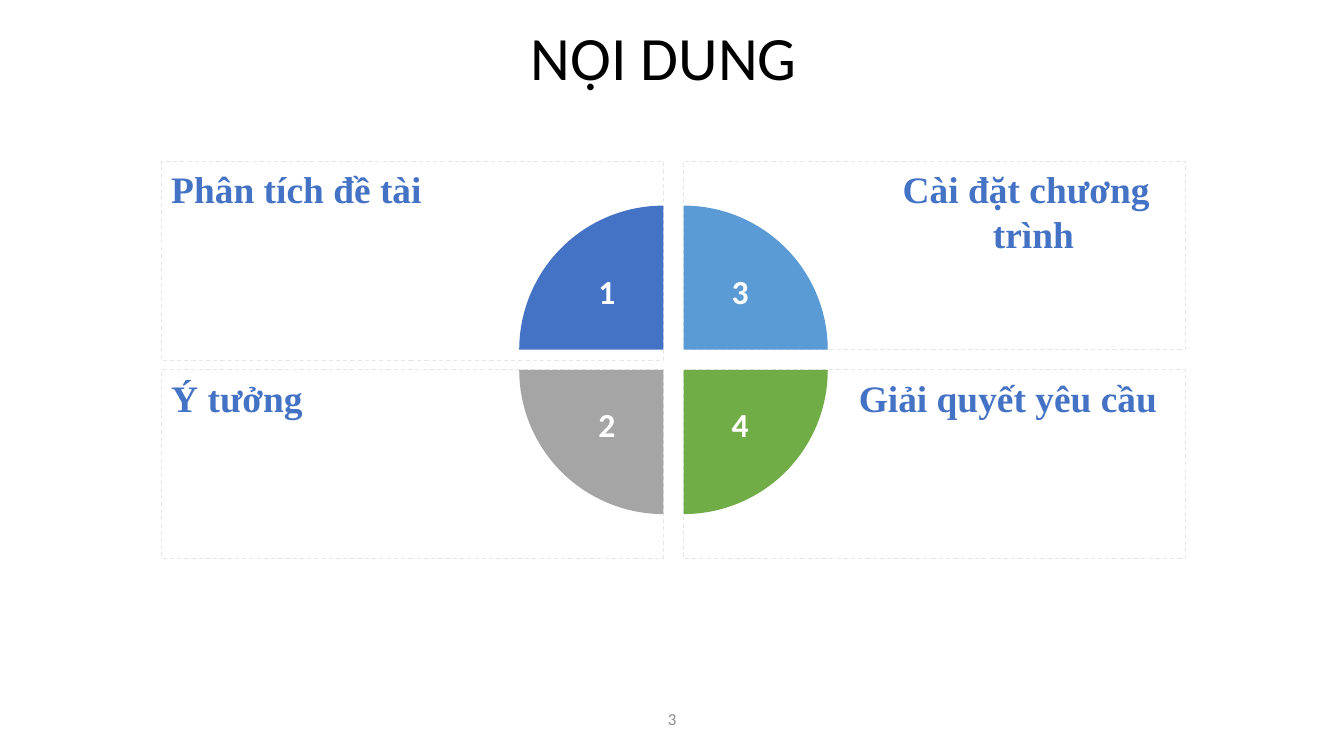
from dataclasses import dataclass

from pptx import Presentation
from pptx.dml.color import RGBColor
from pptx.enum.dml import MSO_LINE
from pptx.enum.shapes import MSO_SHAPE
from pptx.enum.text import MSO_ANCHOR, PP_ALIGN
from pptx.util import Inches, Pt

LEFT, CENTER = PP_ALIGN.LEFT, PP_ALIGN.CENTER
TOP, BOTTOM = MSO_ANCHOR.TOP, MSO_ANCHOR.BOTTOM
RECTANGLE, PIE = MSO_SHAPE.RECTANGLE, MSO_SHAPE.PIE
DASH = MSO_LINE.DASH


@dataclass(frozen=True)
class Theme:
    sans: str = "Calibri"
    serif: str = "Times New Roman"
    black: str = "000000"
    white: str = "FFFFFF"
    grey: str = "8C8C8C"
    border: str = "E7E6E6"
    blue: str = "4472C4"
    sky: str = "5B9BD5"
    green: str = "70AD47"
    silver: str = "A5A5A5"
    title_size: float = 44
    label_size: float = 26.7
    number_size: float = 24
    footer_size: float = 12


theme = Theme()

presentation = Presentation()
presentation.slide_width = Inches(13.33)
presentation.slide_height = Inches(7.5)
slide = presentation.slides.add_slide(presentation.slide_layouts[6])


def add_text(text, box, font_name, size, color, bold=False, align=CENTER,
             anchor=TOP, inset=None):
    """Add a wrapped one-paragraph text box and return its paragraph."""
    shape = slide.shapes.add_textbox(*[Inches(length) for length in box])
    frame = shape.text_frame
    frame.word_wrap = True
    frame.vertical_anchor = anchor
    if inset is not None:
        frame.margin_left = frame.margin_right = Inches(inset)
        frame.margin_top = frame.margin_bottom = Inches(inset)
    frame.text = text
    paragraph = frame.paragraphs[0]
    paragraph.alignment = align
    font = paragraph.runs[0].font
    font.name, font.size, font.bold = font_name, Pt(size), bold
    font.color.rgb = RGBColor.from_string(color)
    return paragraph


# Two by two grid: panels meet at a gap, pie corners sit at the inner corners
GRID_LEFT, GRID_TOP = 1.6, 1.6
PANEL_WIDTH, PANEL_HEIGHT, GAP = 4.98, 1.87, 0.2
PIE_SIZE = 2.86
NUMBER_OFFSET, NUMBER_WIDTH, NUMBER_HEIGHT = 0.56, 0.6, 0.54
LABEL_HEIGHT = 0.55

# number, label, column, row, colour, rotation, extra height, label width, align
quadrants = [
    ("1", "Phân tích đề tài", 0, 0, theme.blue, 0, 0.11, 4.98, LEFT),
    ("3", "Cài đặt chương trình", 1, 0, theme.sky, 90, 0, 3.44, CENTER),
    ("4", "Giải quyết yêu cầu", 1, 1, theme.green, 180, 0, 3.34, LEFT),
    ("2", "Ý tưởng", 0, 1, theme.silver, 270, 0, 4.98, LEFT),
]

for (number, label, column, row, color, rotation, extra_height, label_width,
     align) in quadrants:
    panel_left = GRID_LEFT + column * (PANEL_WIDTH + GAP)
    panel_top = GRID_TOP + row * (PANEL_HEIGHT + GAP)
    panel_right = panel_left + PANEL_WIDTH

    panel = slide.shapes.add_shape(
        RECTANGLE, Inches(panel_left), Inches(panel_top),
        Inches(PANEL_WIDTH), Inches(PANEL_HEIGHT + extra_height))
    panel.shadow.inherit = False
    panel.fill.background()
    panel.line.color.rgb = RGBColor.from_string(theme.border)
    panel.line.width = Pt(0.75)
    panel.line.dash_style = DASH

    corner_x = panel_left if column else panel_right
    corner_y = panel_top if row else panel_top + PANEL_HEIGHT
    quarter = slide.shapes.add_shape(
        PIE, Inches(corner_x - PIE_SIZE / 2), Inches(corner_y - PIE_SIZE / 2),
        Inches(PIE_SIZE), Inches(PIE_SIZE))
    quarter.adjustments[0], quarter.adjustments[1] = 108, 162
    quarter.rotation = rotation
    quarter.shadow.inherit = False
    quarter.fill.solid()
    quarter.fill.fore_color.rgb = RGBColor.from_string(color)
    quarter.line.fill.background()

    number_x = corner_x + NUMBER_OFFSET * (2 * column - 1)
    number_y = corner_y + NUMBER_OFFSET * (2 * row - 1)
    add_text(number,
             (number_x - NUMBER_WIDTH / 2, number_y - NUMBER_HEIGHT / 2,
              NUMBER_WIDTH, NUMBER_HEIGHT),
             theme.sans, theme.number_size, theme.white, bold=True)

    paragraph = add_text(
        label,
        (panel_right - label_width, panel_top, label_width, LABEL_HEIGHT),
        theme.serif, theme.label_size, theme.blue, bold=True, align=align)
    hanging = 0.14 if align == CENTER else 0.42
    properties = paragraph._p.get_or_add_pPr()
    properties.set("marL", str(Inches(0.42)))
    properties.set("indent", str(-Inches(hanging)))

title = add_text("NỘI DUNG", (2.74, 0.13, 7.69, 0.93), theme.sans,
                 theme.title_size, theme.black, anchor=BOTTOM, inset=0.13)
title.line_spacing = 0.9
add_text("3", (6.32, 6.93, 0.69, 0.57), theme.sans, theme.footer_size,
         theme.grey, inset=0.13)

presentation.save("out.pptx")
